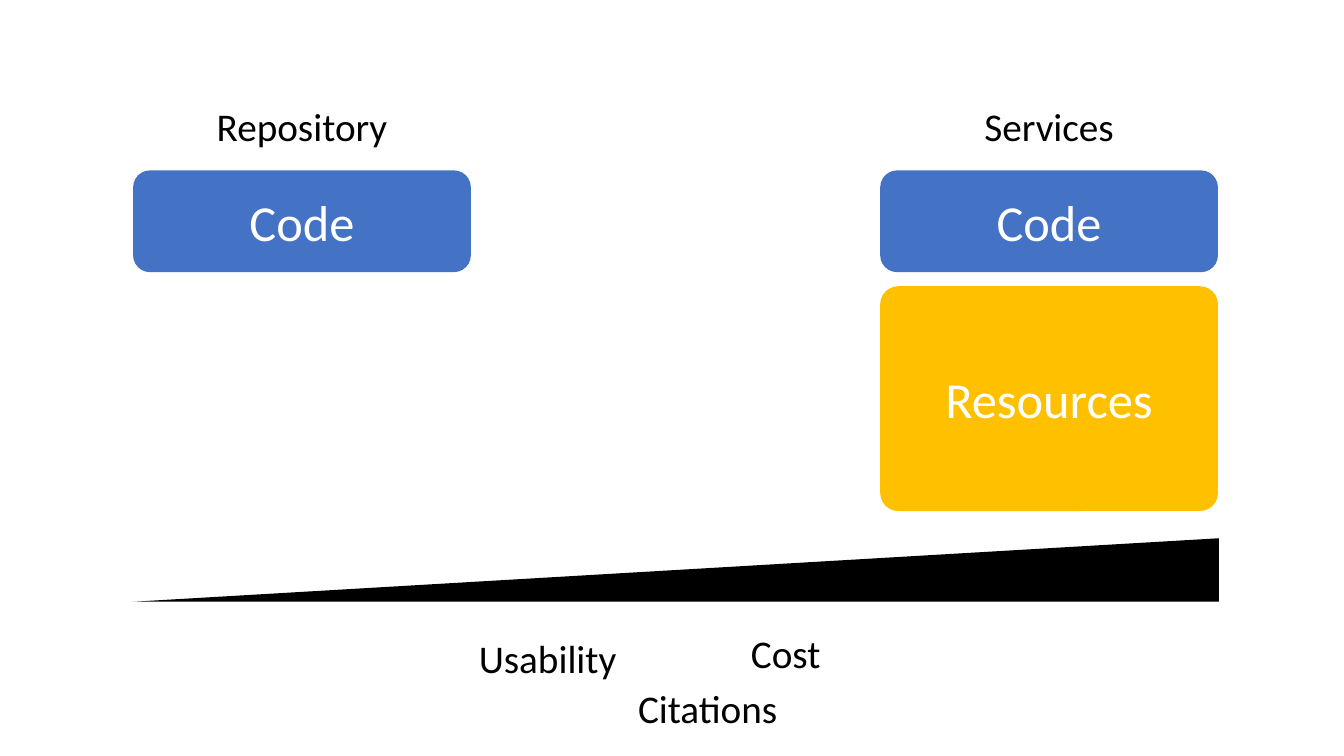
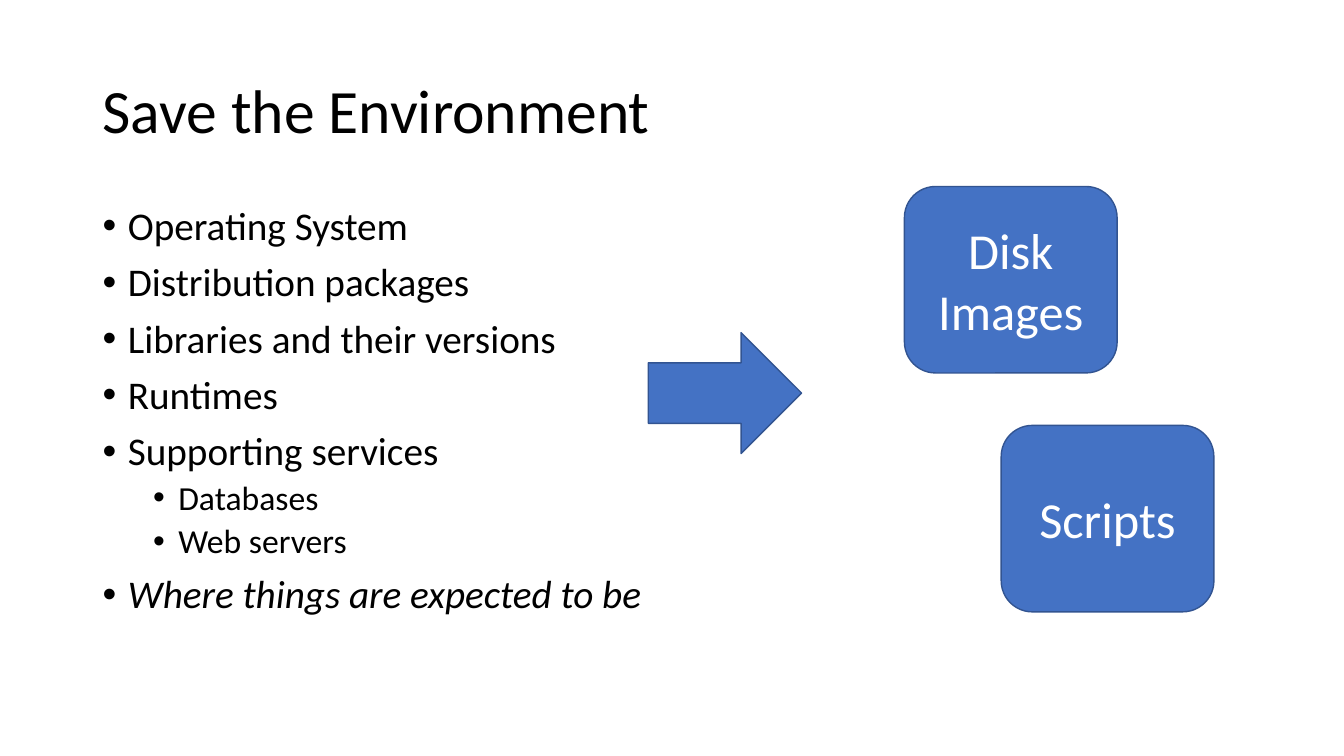
from lxml.etree import SubElement
from pptx import Presentation
from pptx.dml.color import RGBColor
from pptx.enum.shapes import MSO_SHAPE
from pptx.enum.text import MSO_ANCHOR, PP_ALIGN
from pptx.oxml.ns import qn
from pptx.util import Inches, Pt

COLORS = {
    "text": "000000",
    "light": "FFFFFF",
    "blue": "4472C4",
    "outline": "325491",
    "gold": "FFC000",
}
FONT = "Calibri"


def color(name):
    return RGBColor.from_string(COLORS[name])


def write(paragraph, text, size=28, ink="text", italic=False,
          align=PP_ALIGN.LEFT, line_spacing=None, space_before=0):
    """Put formatted text into a paragraph."""
    paragraph.alignment = align
    paragraph.space_before = Pt(space_before)
    if line_spacing:
        paragraph.line_spacing = line_spacing
    run = paragraph.add_run()
    run.text = text
    run.font.name = FONT
    run.font.size = Pt(size)
    run.font.italic = italic
    run.font.color.rgb = color(ink)


class Deck:
    """Holds the shared style and the current slide."""

    def __init__(self):
        self.presentation = Presentation()
        self.presentation.slide_width = Inches(13.33)
        self.presentation.slide_height = Inches(7.5)
        self.slide = None

    def new_slide(self):
        layout = self.presentation.slide_layouts[6]
        self.slide = self.presentation.slides.add_slide(layout)

    def text_frame(self, left, top, width, height, wrap=True, anchor=MSO_ANCHOR.TOP):
        box = self.slide.shapes.add_textbox(
            Inches(left), Inches(top), Inches(width), Inches(height))
        frame = box.text_frame
        frame.word_wrap = wrap
        frame.vertical_anchor = anchor
        return frame

    def title(self, text):
        frame = self.text_frame(0.92, 0.4, 11.5, 1.45, anchor=MSO_ANCHOR.MIDDLE)
        write(frame.paragraphs[0], text, size=44, line_spacing=0.9)

    def label(self, text, left, top, width, align=PP_ALIGN.LEFT):
        frame = self.text_frame(left, top, width, 0.57, wrap=False)
        write(frame.paragraphs[0], text, align=align)

    def bullets(self, items, left, top, width, height):
        """Add a list of (text, level, italic) items."""
        frame = self.text_frame(left, top, width, height)
        for index, (text, level, italic) in enumerate(items):
            paragraph = frame.add_paragraph() if index else frame.paragraphs[0]
            paragraph.level = level
            properties = paragraph._p.get_or_add_pPr()
            properties.set("marL", str(Inches(0.25 + 0.5 * level)))
            properties.set("indent", str(Inches(-0.25)))
            SubElement(properties, qn("a:buFont"), typeface="Arial")
            SubElement(properties, qn("a:buChar"), char="•")
            space_before = (5 if level else 10) if index else 0
            write(paragraph, text, size=24 if level else 28, italic=italic,
                  line_spacing=0.9, space_before=space_before)

    def shape(self, kind, left, top, width, height, fill="blue",
              outline=None, text=None, adjustment=None):
        shape = self.slide.shapes.add_shape(
            kind, Inches(left), Inches(top), Inches(width), Inches(height))
        shape.shadow.inherit = False
        shape.fill.solid()
        shape.fill.fore_color.rgb = color(fill)
        if outline:
            shape.line.color.rgb = color(outline)
            shape.line.width = Pt(1)
        else:
            shape.line.fill.background()
        if adjustment is not None:
            shape.adjustments[0] = adjustment
        if text:
            frame = shape.text_frame
            frame.word_wrap = True
            frame.vertical_anchor = MSO_ANCHOR.MIDDLE
            write(frame.paragraphs[0], text, size=36, ink="light",
                  align=PP_ALIGN.CENTER)

    def block(self, text, left, top, width, height, **style):
        self.shape(MSO_SHAPE.ROUNDED_RECTANGLE, left, top, width, height,
                   text=text, **style)


def build_comparison(deck):
    deck.new_slide()
    block_width = 3.35

    # Code columns with centred headings
    for heading, left, label_width in (("Repository", 1.32, 1.91),
                                       ("Services", 8.73, 1.5)):
        deck.block("Code", left, 1.69, block_width, 1.01)
        deck.label(heading, left + (block_width - label_width) / 2, 0.97,
                   label_width, align=PP_ALIGN.CENTER)
    deck.block("Resources", 8.73, 2.84, block_width, 2.23,
               fill="gold", adjustment=0.08)

    # Growing wedge and what grows with it
    deck.shape(MSO_SHAPE.ISOSCELES_TRIANGLE, 1.32, 5.34, 10.77, 0.63,
               fill="text", adjustment=1)
    for text, left, top, width in (("Usability", 4.65, 6.24, 1.58),
                                   ("Cost", 7.35, 6.19, 0.9),
                                   ("Citations", 6.23, 6.74, 1.6)):
        deck.label(text, left, top, width)


def build_environment(deck):
    deck.new_slide()
    deck.title("Save the Environment")

    # Things to save
    deck.bullets([
        ("Operating System", 0, False),
        ("Distribution packages", 0, False),
        ("Libraries and their versions", 0, False),
        ("Runtimes", 0, False),
        ("Supporting services", 0, False),
        ("Databases", 1, False),
        ("Web servers", 1, False),
        ("Where things are expected to be", 0, True),
    ], 0.92, 2, 5.79, 4.76)

    # Ways to save them
    deck.shape(MSO_SHAPE.RIGHT_ARROW, 6.43, 3.3, 1.52, 1.2, outline="outline")
    for text, left, top in (("Disk Images", 8.97, 1.85), ("Scripts", 9.93, 4.22)):
        deck.block(text, left, top, 2.11, 1.85, outline="outline")


def main():
    deck = Deck()
    build_comparison(deck)
    build_environment(deck)
    deck.presentation.save("out.pptx")


if __name__ == "__main__":
    main()
